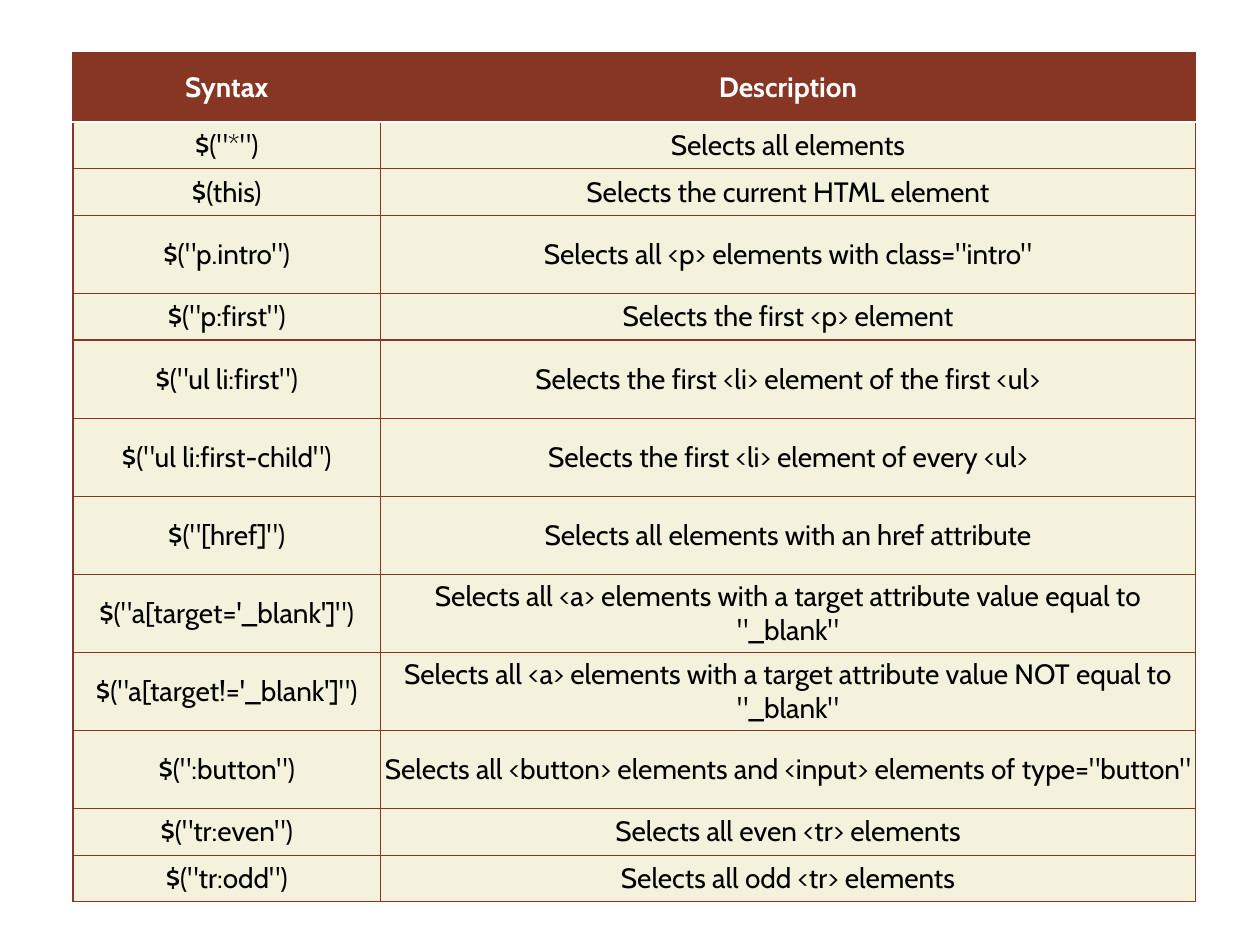
from dataclasses import dataclass

from lxml.etree import SubElement
from pptx import Presentation
from pptx.dml.color import RGBColor
from pptx.enum.text import MSO_ANCHOR, PP_ALIGN
from pptx.oxml.ns import qn
from pptx.util import Inches, Pt


@dataclass(frozen=True)
class Theme:
    """Colours, font and sizes of the slide."""
    brick: str = "873624"
    cream: str = "F4F2DD"
    white: str = "FFFFFF"
    black: str = "000000"
    font: str = "Cabin"
    size: float = 16
    thin: float = 0.79
    thick: float = 1.5


THEME = Theme()
COLUMNS = (2.44, 6.47)
HEADER_HEIGHT, SHORT, TALL = 0.55, 0.37, 0.62
HEADER = ("Syntax", "Description")
SELECTORS = (
    (SHORT, '$("*")', "Selects all elements"),
    (SHORT, "$(this)", "Selects the current HTML element"),
    (TALL, '$("p.intro")', 'Selects all <p> elements with class="intro"'),
    (SHORT, '$("p:first")', "Selects the first <p> element"),
    (TALL, '$("ul li:first")', "Selects the first <li> element of the first <ul>"),
    (TALL, '$("ul li:first-child")', "Selects the first <li> element of every <ul>"),
    (TALL, '$("[href]")', "Selects all elements with an href attribute"),
    (TALL, "$(\"a[target='_blank']\")",
     'Selects all <a> elements with a target attribute value equal to "_blank"'),
    (TALL, "$(\"a[target!='_blank']\")",
     'Selects all <a> elements with a target attribute value NOT equal to "_blank"'),
    (TALL, '$(":button")',
     'Selects all <button> elements and <input> elements of type="button"'),
    (SHORT, '$("tr:even")', "Selects all even <tr> elements"),
    (SHORT, '$("tr:odd")', "Selects all odd <tr> elements"),
)


def write_text(tf, text, *, color, bold=False, align=PP_ALIGN.CENTER):
    """Write one formatted paragraph into a text frame."""
    p = tf.paragraphs[0]
    p.alignment = align
    r = p.add_run()
    r.text = text
    r.font.name = THEME.font
    r.font.size = Pt(THEME.size)
    r.font.bold = bold
    r.font.color.rgb = RGBColor.from_string(color)


def set_borders(cell, **special):
    """Draw thin brick borders, except for the sides given as (colour, width)."""
    tc_pr = cell._tc.get_or_add_tcPr()
    for side in "LRTB":
        color, width = special.get(side, (THEME.brick, THEME.thin))
        ln = SubElement(tc_pr, qn(f"a:ln{side}"), w=str(Pt(width)))
        fill = SubElement(ln, qn("a:solidFill"))
        SubElement(fill, qn("a:srgbClr"), val=color)


def style_cell(cell, fill, margin_x, margin_y):
    """Set the fill, margins and anchor of a cell."""
    cell.fill.solid()
    cell.fill.fore_color.rgb = RGBColor.from_string(fill)
    cell.margin_left = cell.margin_right = Inches(margin_x)
    cell.margin_top = cell.margin_bottom = Inches(margin_y)
    cell.vertical_anchor = MSO_ANCHOR.MIDDLE


def add_header(table):
    """Fill the header row."""
    for cell, text in zip(table.rows[0].cells, HEADER):
        set_borders(cell, B=(THEME.white, THEME.thick))
        style_cell(cell, THEME.brick, 0.02, 0.02)
        write_text(cell.text_frame, text, color=THEME.white, bold=True)


def add_selector(table, index, texts):
    """Fill one body row."""
    special = {"T": (THEME.white, THEME.thick)} if index == 1 else {}
    for cell, text in zip(table.rows[index].cells, texts):
        set_borders(cell, **special)
        style_cell(cell, THEME.cream, 0.03, 0.04)
        write_text(cell.text_frame, text, color=THEME.black)


def add_selector_table(slide):
    """Add the table of selectors."""
    heights = [HEADER_HEIGHT] + [row[0] for row in SELECTORS]
    table = slide.shapes.add_table(
        len(heights), len(COLUMNS), Inches(0.58), Inches(0.42),
        Inches(sum(COLUMNS)), Inches(sum(heights))).table
    table.horz_banding = False
    for column, width in zip(table.columns, COLUMNS):
        column.width = Inches(width)
    for row, height in zip(table.rows, heights):
        row.height = Inches(height)
    add_header(table)
    for index, (_, *texts) in enumerate(SELECTORS, start=1):
        add_selector(table, index, texts)


def main():
    """Build the slide and save it."""
    prs = Presentation()
    prs.slide_width, prs.slide_height = Inches(10), Inches(7.5)
    slide = prs.slides.add_slide(prs.slide_layouts[6])
    add_selector_table(slide)
    prs.save("out.pptx")


if __name__ == "__main__":
    main()
